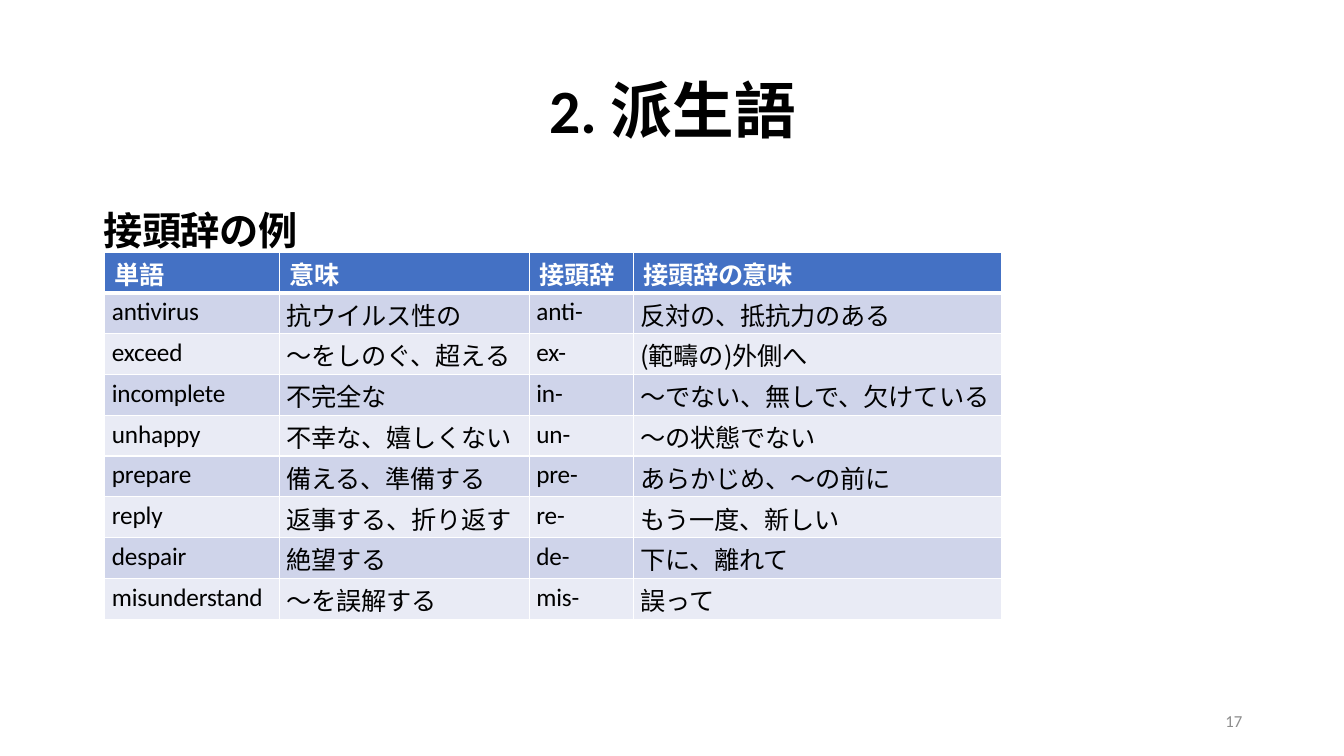
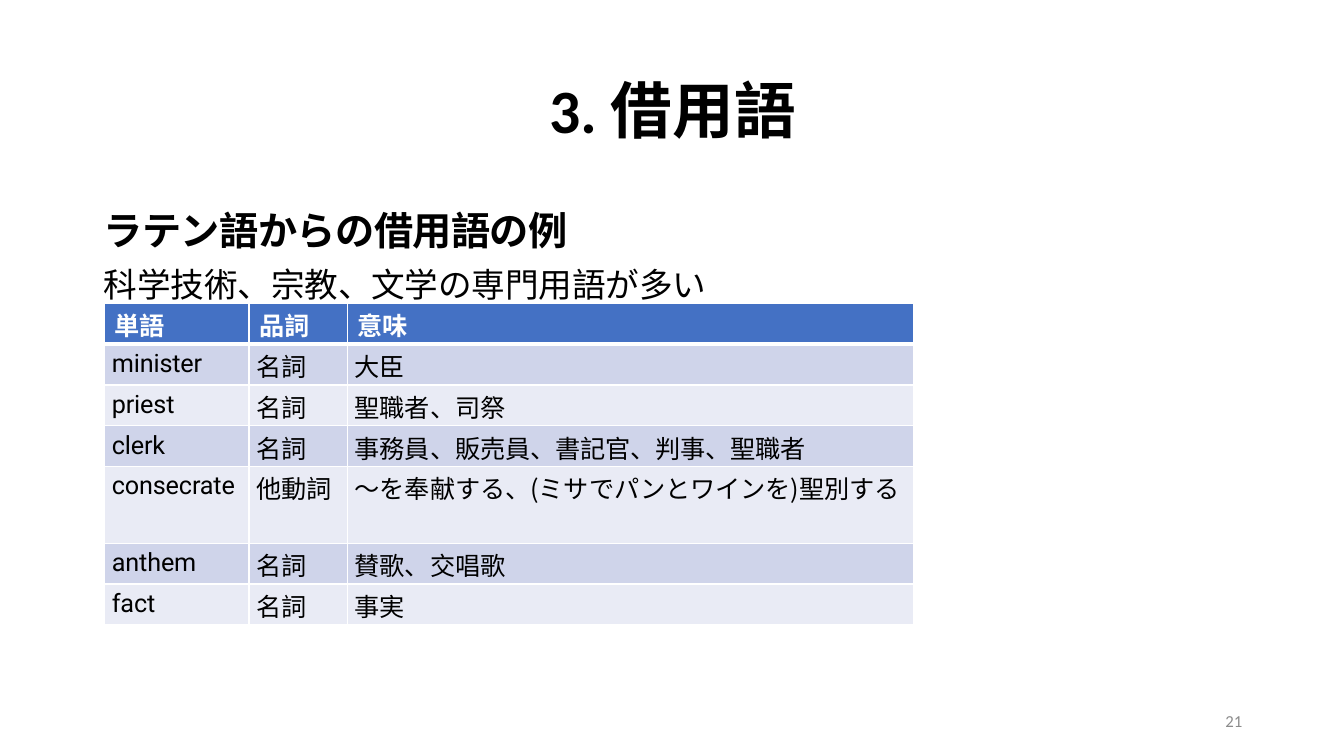
from pptx import Presentation
from pptx.dml.color import RGBColor
from pptx.enum.text import MSO_ANCHOR, PP_ALIGN
from pptx.oxml.xmlchemy import OxmlElement
from pptx.util import Inches, Pt

HUES = {
    "text": "000000",
    "page": "8C8C8C",
    "line": "FFFFFF",
    "head": "4471C4",
    "odd": "CFD4EA",
    "even": "E9EBF5",
}
LATIN = "Calibri"
KANJI = "Noto Sans CJK JP"
LEFT = 1.04
ROW = 0.405
TALL = 0.76


def rgb(hue):
    return RGBColor.from_string(HUES[hue])


def edge(cell, side, width):
    """Draw one white border of a cell."""
    line = OxmlElement(f"a:ln{side}")
    line.set("w", str(Pt(width)))
    fill = OxmlElement("a:solidFill")
    tint = OxmlElement("a:srgbClr")
    tint.set("val", HUES["line"])
    fill.append(tint)
    line.append(fill)
    cell._tc.get_or_add_tcPr().append(line)


class Deck:
    def __init__(self):
        self.file = Presentation()
        self.file.slide_width = Inches(13.33)
        self.file.slide_height = Inches(7.5)
        self.slide = None

    def font(self, para, size, face=KANJI, hue="text", bold=False, gap=0):
        """Style a paragraph; gap is letter spacing in points."""
        font = para.font
        font.size = Pt(size)
        font.bold = bold
        font.color.rgb = rgb(hue)
        font.name = face
        props = font._element
        east = OxmlElement("a:ea")
        east.set("typeface", KANJI)
        props.append(east)
        if gap:
            props.set("spc", str(round(gap * 100)))

    def box(self, x, y, w, h, anchor=MSO_ANCHOR.TOP):
        shape = self.slide.shapes.add_textbox(
            Inches(x), Inches(y), Inches(w), Inches(h))
        frame = shape.text_frame
        frame.word_wrap = True
        frame.vertical_anchor = anchor
        return frame

    def page(self, title, number):
        """Start a slide with its title and page number."""
        self.slide = self.file.slides.add_slide(self.file.slide_layouts[6])
        para = self.box(0.92, 0.4, 11.5, 1.45, MSO_ANCHOR.MIDDLE).paragraphs[0]
        para.text = title
        para.alignment = PP_ALIGN.CENTER
        para.line_spacing = 0.9
        self.font(para, 44, LATIN, bold=True)
        para = self.box(9.42, 6.95, 3, 0.4, MSO_ANCHOR.MIDDLE).paragraphs[0]
        para.text = str(number)
        para.alignment = PP_ALIGN.RIGHT
        self.font(para, 12, LATIN, "page")

    def body(self, head, note=None):
        frame = self.box(0.92, 2, 11.5, 4.76)
        frame.margin_left = Inches(0.11)
        para = frame.paragraphs[0]
        para.text = head
        self.font(para, 28, bold=True, gap=-0.4)
        if note:
            para = frame.add_paragraph()
            para.text = note
            para.space_before = Pt(7.4)
            self.font(para, 24, gap=-0.1)

    def table(self, top, cols, rows, face, inset, tall=()):
        """Place a banded table; face and inset serve its Latin cells.

        The rows numbered in tall hold two lines.
        """
        highs = [TALL if r in tall else ROW for r in range(len(rows))]
        grid = self.slide.shapes.add_table(
            len(rows), len(cols), Inches(LEFT), Inches(top),
            Inches(sum(cols)), Inches(sum(highs))).table
        grid.horz_banding = False
        for col, width in zip(grid.columns, cols):
            col.width = Inches(width)
        for r, row in enumerate(rows):
            grid.rows[r].height = Inches(highs[r])
            for c, text in enumerate(row):
                self.cell(grid.cell(r, c), r, text, face, inset)

    def cell(self, cell, r, text, face, inset):
        head, latin = r == 0, text.isascii()
        cell.margin_left = Inches(0.1 if head else 0.07)
        cell.margin_top = Inches(inset if latin else 0.03)
        cell.margin_right = cell.margin_bottom = 0
        for side in "LRTB":
            thick = (r, side) in ((0, "B"), (1, "T"))
            edge(cell, side, 3 if thick else 1)
        cell.fill.solid()
        cell.fill.fore_color.rgb = rgb(
            "head" if head else "odd" if r % 2 else "even")
        para = cell.text_frame.paragraphs[0]
        para.text = text
        self.font(para, 18, face if latin else KANJI,
                  "line" if head else "text", head, -0.2 if head else -0.1)


def main():
    deck = Deck()

    deck.page("2. 派生語", 17)
    deck.body("接頭辞の例")
    deck.table(2.5, (1.73, 2.48, 1.03, 3.65), (
        ("単語", "意味", "接頭辞", "接頭辞の意味"),
        ("antivirus", "抗ウイルス性の", "anti-", "反対の、抵抗力のある"),
        ("exceed", "～をしのぐ、超える", "ex-", "(範疇の)外側へ"),
        ("incomplete", "不完全な", "in-", "～でない、無しで、欠けている"),
        ("unhappy", "不幸な、嬉しくない", "un-", "～の状態でない"),
        ("prepare", "備える、準備する", "pre-", "あらかじめ、～の前に"),
        ("reply", "返事する、折り返す", "re-", "もう一度、新しい"),
        ("despair", "絶望する", "de-", "下に、離れて"),
        ("misunderstand", "～を誤解する", "mis-", "誤って"),
    ), LATIN, 0.04)

    deck.page("3. 借用語", 21)
    deck.body("ラテン語からの借用語の例", "科学技術、宗教、文学の専門用語が多い")
    deck.table(3.01, (1.43, 0.98, 5.61), (
        ("単語", "品詞", "意味"),
        ("minister", "名詞", "大臣"),
        ("priest", "名詞", "聖職者、司祭"),
        ("clerk", "名詞", "事務員、販売員、書記官、判事、聖職者"),
        ("consecrate", "他動詞", "～を奉献する、(ミサでパンとワインを)聖別する"),
        ("anthem", "名詞", "賛歌、交唱歌"),
        ("fact", "名詞", "事実"),
    ), "Roboto", 0.05, tall=(4,))

    deck.file.save("out.pptx")


if __name__ == "__main__":
    main()
